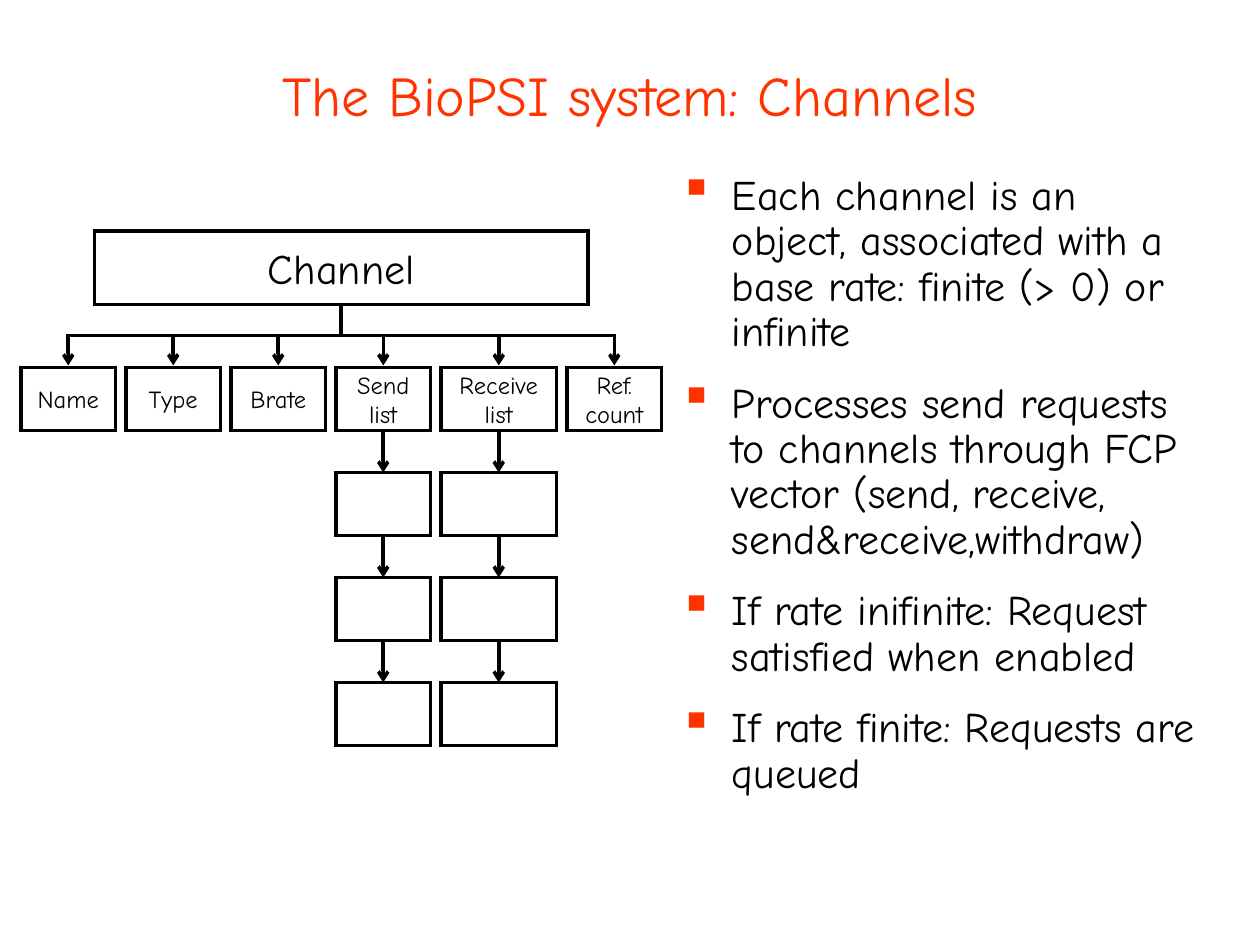
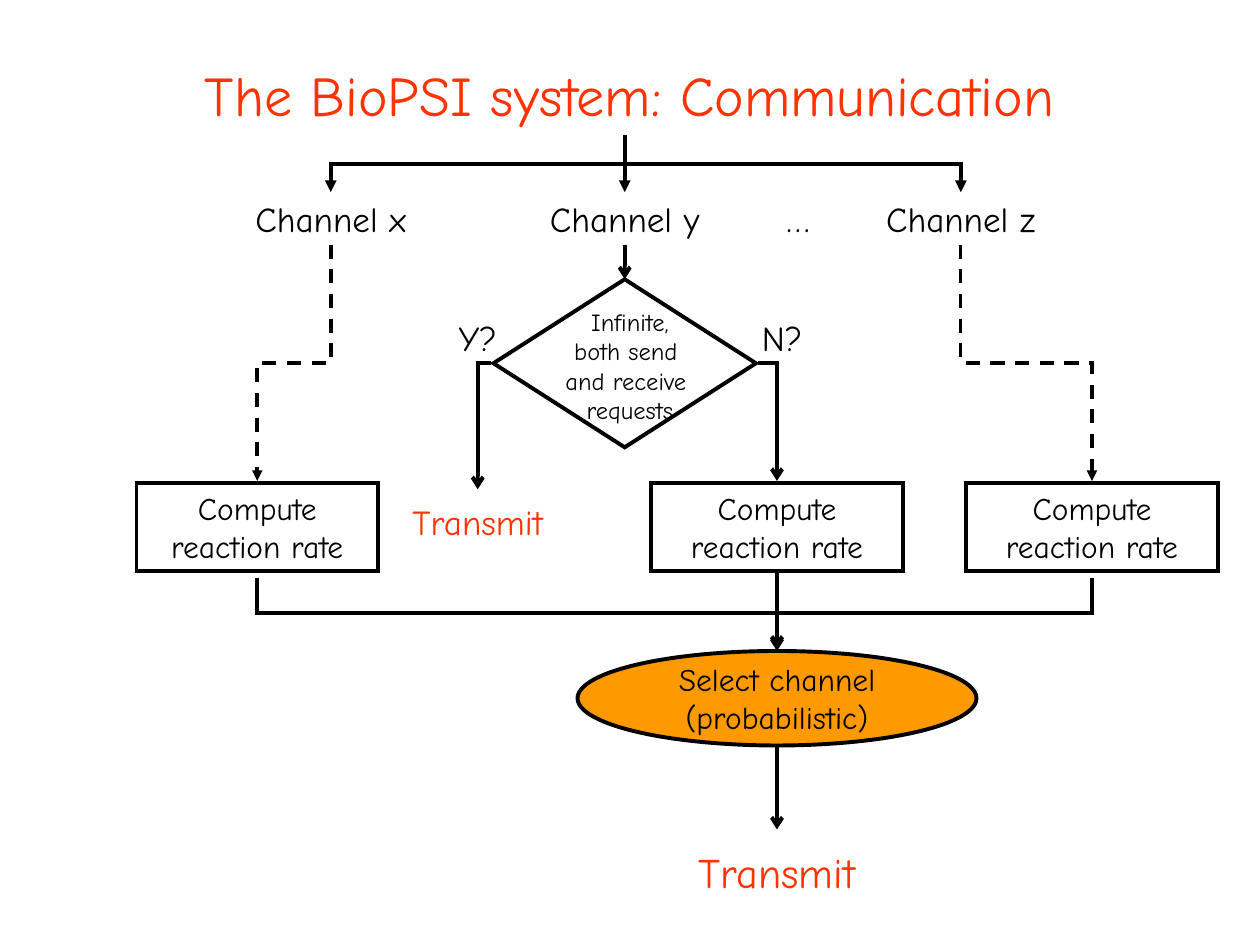
"""Build two slides on the BioPSI system: channel structure and communication flow."""
from lxml.etree import SubElement
from pptx import Presentation
from pptx.dml.color import RGBColor
from pptx.enum.dml import MSO_LINE
from pptx.enum.shapes import MSO_CONNECTOR, MSO_SHAPE
from pptx.enum.text import MSO_ANCHOR, MSO_AUTO_SIZE, PP_ALIGN
from pptx.oxml.ns import qn
from pptx.util import Pt

PX = 7620
FONT = "Comic Neue"
BLACK, RED, ORANGE, WHITE = "000000", "FF3300", "FF9900", "FFFFFF"
color = RGBColor.from_string


def add_box(slide, kind, bounds, text="", size=20, ink=BLACK, fill=None, line=2.25):
    """Add a preset shape, or a text box when kind is None, with centred text."""
    bounds = [length * PX for length in bounds]
    if kind is None:
        shape = slide.shapes.add_textbox(*bounds)
    else:
        shape = slide.shapes.add_shape(kind, *bounds)
        shape.shadow.inherit = False
        if line:
            shape.line.color.rgb = color(BLACK)
            shape.line.width = Pt(line)
            SubElement(shape._element.spPr.find(qn("a:ln")), qn("a:miter"), lim="800000")
        else:
            shape.line.fill.background()
        if fill:
            shape.fill.solid()
            shape.fill.fore_color.rgb = color(fill)
        else:
            shape.fill.background()
    if text:
        frame = shape.text_frame
        frame.word_wrap = True
        frame.vertical_anchor = MSO_ANCHOR.MIDDLE
        paragraph = frame.paragraphs[0]
        paragraph.text = text
        paragraph.alignment = PP_ALIGN.CENTER
        paragraph.font.name = FONT
        paragraph.font.size = Pt(size)
        paragraph.font.color.rgb = color(ink)
    return shape


def add_arrow(slide, start, end, route="straight", head="arrow", width=2.25, dashed=False):
    """Add an arrow that runs straight, down-across-down, or across-then-down (corner)."""
    kind = MSO_CONNECTOR.STRAIGHT if route == "straight" else MSO_CONNECTOR.ELBOW
    (x1, y1), (x2, y2) = start, end
    connector = slide.shapes.add_connector(kind, x1 * PX, y1 * PX, x2 * PX, y2 * PX)
    properties = connector._element.spPr
    if route == "corner":
        properties.find(qn("a:prstGeom")).set("prst", "bentConnector2")
    elif route == "down":
        length, spread = y2 - y1, abs(x2 - x1)
        connector.left = (x1 + x2 - length) * PX // 2
        connector.top = (y1 + y2 - spread) * PX // 2
        connector.width, connector.height = length * PX, spread * PX
        transform = properties.find(qn("a:xfrm"))
        rightward = x2 > x1
        transform.set("rot", str((270 if rightward else 90) * 60000))
        transform.set("flipH", str(int(rightward)))
    connector.line.color.rgb = color(BLACK)
    connector.line.width = Pt(width)
    if dashed:
        connector.line.dash_style = MSO_LINE.DASH
    outline = properties.find(qn("a:ln"))
    SubElement(outline, qn("a:miter"), lim="800000")
    SubElement(outline, qn("a:tailEnd"), type=head)
    SubElement(properties, qn("a:effectLst"))
    return connector


presentation = Presentation()
presentation.slide_width, presentation.slide_height = 1200 * PX, 900 * PX
slides = []
for layout, heading in ((1, "Channels"), (5, "Communication")):
    slide = presentation.slides.add_slide(presentation.slide_layouts[layout])
    title = slide.shapes.title
    title.left, title.top, title.width, title.height = 60 * PX, 40 * PX, 1080 * PX, 100 * PX
    title.text_frame.auto_size = MSO_AUTO_SIZE.NONE
    title.text_frame.vertical_anchor = MSO_ANCHOR.MIDDLE
    paragraph = title.text_frame.paragraphs[0]
    paragraph.text = f"The BioPSI system: {heading}"
    paragraph.alignment = PP_ALIGN.CENTER
    paragraph.font.name = FONT
    paragraph.font.size = Pt(32)
    paragraph.font.color.rgb = color(RED)
    slides.append(slide)
channels, communication = slides

body = channels.placeholders[1]
body.left, body.top, body.width, body.height = 640 * PX, 160 * PX, 516 * PX, 640 * PX
body.text_frame.auto_size = MSO_AUTO_SIZE.NONE
points = (
    "Each channel is an object, associated with a base rate: finite (> 0) or infinite",
    "Processes send requests to channels through FCP vector (send, receive, send&receive,withdraw)",
    "If rate inifinite: Request satisfied when enabled",
    "If rate finite: Requests are queued",
)
for index, point in enumerate(points):
    paragraph = body.text_frame.paragraphs[0] if index == 0 else body.text_frame.add_paragraph()
    paragraph.text = point
    settings = paragraph._p.get_or_add_pPr()
    settings.set("marL", str(45 * PX))
    settings.set("indent", str(-45 * PX))
    SubElement(SubElement(settings, qn("a:buClr")), qn("a:srgbClr"), val=RED)
    SubElement(settings, qn("a:buSzPct"), val="125000")
    SubElement(settings, qn("a:buFont"), typeface="Wingdings", charset="2")
    SubElement(settings, qn("a:buChar"), char="§")
    paragraph.line_spacing = 0.9
    paragraph.space_before = Pt(15 if index else 0)
    paragraph.font.name = FONT
    paragraph.font.size = Pt(24)
    paragraph.font.color.rgb = color(BLACK)

add_box(channels, MSO_SHAPE.RECTANGLE, (90, 220, 470, 70), "Channel", 24, line=2)
field_left = 20
for field in ("Name", "Type", "Brate", "Send list", "Receive list", "Ref. count"):
    field_width = 110 if field == "Receive list" else 90
    center = field_left + field_width // 2
    cell = add_box(channels, MSO_SHAPE.RECTANGLE, (field_left, 350, field_width, 60), field, 14, line=2)
    add_arrow(channels, (325, 291), (center, 348), "down", width=2)
    if field.endswith("list"):
        for top in (450, 550, 650):
            entry = add_box(channels, MSO_SHAPE.RECTANGLE, (field_left, top, field_width, 60), line=2)
            arrow = add_arrow(channels, (center, top - 40), (center, top), width=2)
            arrow.begin_connect(cell, 2)
            arrow.end_connect(entry, 0)
            cell = entry
    field_left += field_width + 10

channel_labels = {}
for name, left in (("x", 190), ("y", 470), ("z", 790)):
    label = add_box(communication, None, (left, 183, 250, 50), f"Channel {name}")
    channel_labels[name] = label
    route = "straight" if name == "y" else "down"
    arrow = add_arrow(communication, (595, 129), (left + 125, 183), route, "triangle")
    if name == "y":
        arrow.end_connect(label, 0)

decision = add_box(communication, MSO_SHAPE.FLOWCHART_DECISION, (470, 266, 250, 160), fill=WHITE)
for text, kind, bounds, size, ink in (
    ("…", MSO_SHAPE.RECTANGLE, (720, 188, 80, 40), 20, BLACK),
    ("Infinite,\vboth send \vand receive \vrequests", None, (450, 286, 300, 125), 14, BLACK),
    ("Transmit", MSO_SHAPE.RECTANGLE, (340, 467, 230, 60), 20, RED),
    ("Y?", None, (390, 286, 130, 70), 20, BLACK),
    ("N?", None, (680, 286, 130, 70), 20, BLACK),
):
    add_box(communication, kind, bounds, text, size, ink, WHITE, 0)
arrow = add_arrow(communication, (595, 233), (595, 266))
arrow.begin_connect(channel_labels["y"], 2)
arrow.end_connect(decision, 0)
add_arrow(communication, (468, 346), (455, 466), "corner")
add_arrow(communication, (722, 346), (740, 458), "corner")

selection = add_box(communication, MSO_SHAPE.OVAL, (550, 620, 380, 90),
                    "Select channel (probabilistic)", 18, fill=ORANGE)
for left, width in ((130, 230), (620, 240), (920, 240)):
    center = left + width // 2
    rate = add_box(communication, MSO_SHAPE.RECTANGLE, (left, 460, width, 84), "Compute reaction rate", 18)
    if center == 740:
        arrow = add_arrow(communication, (center, 544), (740, 620))
        arrow.begin_connect(rate, 2)
        arrow.end_connect(selection, 0)
    else:
        add_arrow(communication, (center, 550), (740, 618), "down")
for start_x, end_x in ((315, 245), (915, 1040)):
    add_arrow(communication, (start_x, 233), (end_x, 458), "down", "triangle", 2, dashed=True)

transmit = add_box(communication, MSO_SHAPE.RECTANGLE, (485, 790, 510, 80),
                   "Transmit", 24, RED, WHITE, 0)
add_arrow(communication, (740, 711), (740, 790)).end_connect(transmit, 0)

presentation.save("out.pptx")
